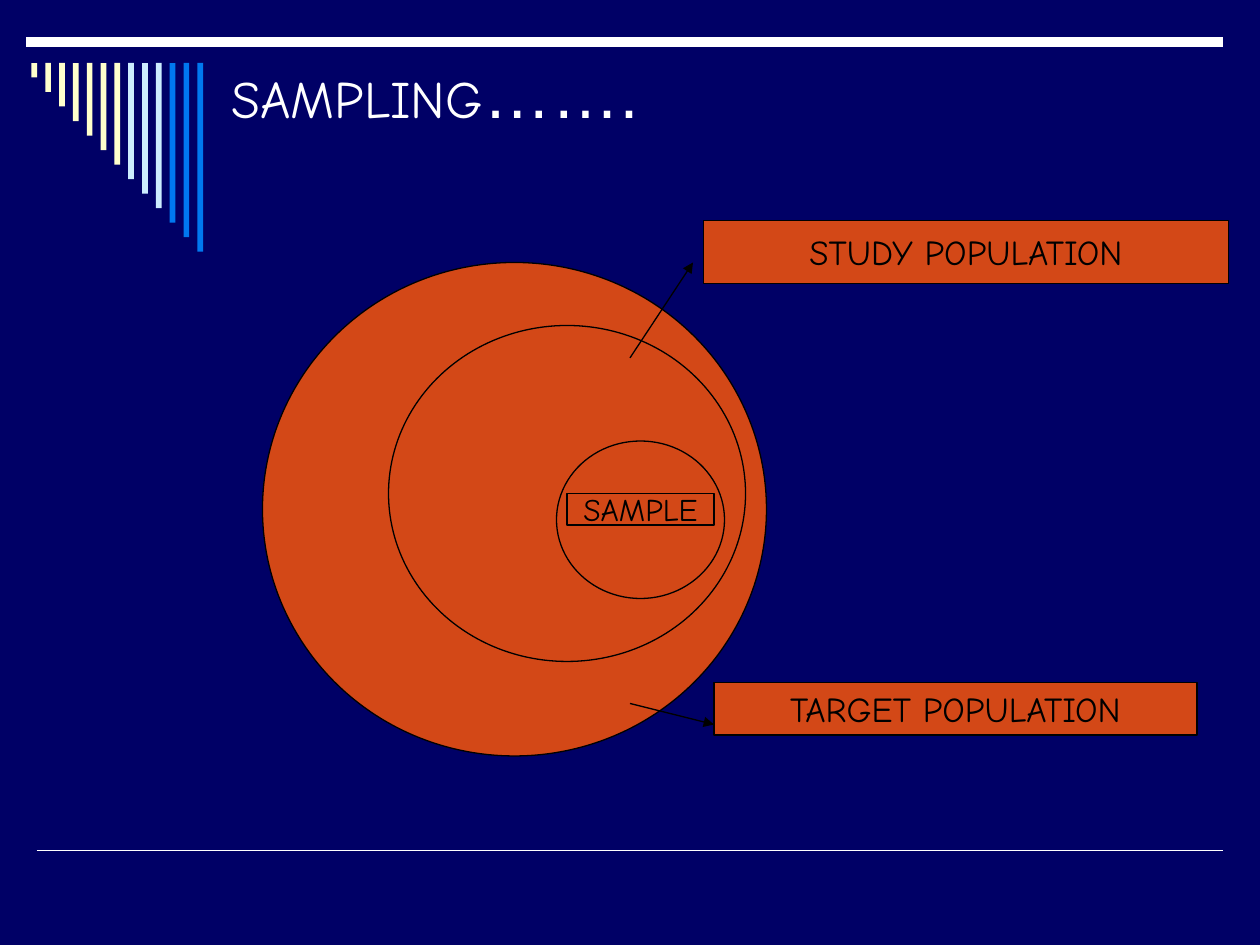
from dataclasses import dataclass

import pptx
import pptx.dml.color
import pptx.enum.shapes
import pptx.enum.text
import pptx.oxml.ns
import pptx.util
from lxml import etree

Pt = pptx.util.Pt
MSO_SHAPE = pptx.enum.shapes.MSO_SHAPE
ANCHOR = pptx.enum.text.MSO_ANCHOR
ALIGN = pptx.enum.text.PP_ALIGN


@dataclass(frozen=True)
class Theme:
    background: str = "000066"
    light: str = "FFFFFF"
    dark: str = "000000"
    orange: str = "D34817"
    cream: str = "FFFFCC"
    pale_blue: str = "CCECFF"
    blue: str = "0078F0"
    font: str = "Comic Neue"
    dots_font: str = "Arial"
    title_size: float = 30
    dots_size: float = 39
    label_size: float = 20
    sample_size: float = 18
    outline: float = 0.75


def rgb(value):
    return pptx.dml.color.RGBColor.from_string(value)


def add_text(paragraph, text, *, size, color, font):
    run = paragraph.add_run()
    run.text = text
    run.font.size = Pt(size)
    run.font.name = font
    run.font.color.rgb = rgb(color)


class SlideBuilder:
    def __init__(self, slide, theme):
        self.slide = slide
        self.theme = theme
        slide.background.fill.solid()
        slide.background.fill.fore_color.rgb = rgb(theme.background)

    def title(self, left, top, width, height, text, dots):
        theme = self.theme
        shape = self.slide.shapes.title
        shape.left, shape.top, shape.width, shape.height = map(Pt, (left, top, width, height))
        frame = shape.text_frame
        frame.auto_size = pptx.enum.text.MSO_AUTO_SIZE.NONE
        frame.word_wrap = True
        frame.vertical_anchor = ANCHOR.BOTTOM
        frame.margin_bottom = Pt(7.2)
        paragraph = frame.paragraphs[0]
        paragraph.alignment = ALIGN.LEFT
        add_text(paragraph, text, size=theme.title_size, color=theme.light, font=theme.font)
        add_text(paragraph, dots, size=theme.dots_size, color=theme.light, font=theme.dots_font)

    def shape(self, kind, left, top, width, height, fill, outlined=True):
        shape = self.slide.shapes.add_shape(kind, *map(Pt, (left, top, width, height)))
        shape.shadow.inherit = False
        shape.fill.solid()
        shape.fill.fore_color.rgb = rgb(fill)
        if outlined:
            shape.line.color.rgb = rgb(self.theme.dark)
            shape.line.width = Pt(self.theme.outline)
        else:
            shape.line.fill.background()
        return shape

    def circle(self, left, top, width, height):
        self.shape(MSO_SHAPE.OVAL, left, top, width, height, self.theme.orange)

    def label(self, left, top, width, height, text, size):
        theme = self.theme
        shape = self.shape(MSO_SHAPE.RECTANGLE, left, top, width, height, theme.orange)
        frame = shape.text_frame
        frame.word_wrap = False
        frame.vertical_anchor = ANCHOR.MIDDLE
        paragraph = frame.paragraphs[0]
        paragraph.alignment = ALIGN.CENTER
        add_text(paragraph, text, size=size, color=theme.dark, font=theme.font)

    def line(self, start, end, color, width, arrow=False):
        connector = self.slide.shapes.add_connector(
            pptx.enum.shapes.MSO_CONNECTOR.STRAIGHT, *map(Pt, (*start, *end)))
        connector.line.color.rgb = rgb(color)
        connector.line.width = Pt(width)
        qn = pptx.oxml.ns.qn
        if arrow:
            etree.SubElement(connector.line._get_or_add_ln(), qn("a:tailEnd"), type="triangle")
        etree.SubElement(connector._element.spPr, qn("a:effectLst"))

    def bars(self, left, top, pitch, width, step, colors):
        for index, color in enumerate(colors):
            self.shape(MSO_SHAPE.RECTANGLE, left + index * pitch, top, width,
                       (index + 1) * step, color, outlined=False)


def main():
    theme = Theme()
    presentation = pptx.Presentation()
    presentation.slide_width = Pt(720)
    presentation.slide_height = Pt(540)
    slide = presentation.slides.add_slide(presentation.slide_layouts.get_by_name("Title Only"))
    builder = SlideBuilder(slide, theme)

    # Frame lines and the staircase of bars
    builder.line((21, 486), (699, 486), theme.light, 1)
    builder.line((15, 24), (699, 24), theme.light, 6)
    bar_colors = [theme.cream] * 7 + [theme.pale_blue] * 3 + [theme.blue] * 3
    builder.bars(18, 36, 7.9, 3.3, 8.3, bar_colors)

    # Title
    builder.title(125, 18, 593, 65, "SAMPLING", "…….")

    # Nested populations
    builder.circle(150, 150, 288, 282)
    builder.circle(222, 186, 204, 192)
    builder.circle(318, 252, 96, 90)

    # Labels
    builder.label(408, 390, 276, 30, "TARGET POPULATION", theme.label_size)
    builder.label(402, 126, 300, 36, "STUDY POPULATION", theme.label_size)
    builder.label(324, 282, 84, 18, "SAMPLE", theme.sample_size)

    # Arrows from the circles to their labels
    builder.line((360, 204.5), (396, 150), theme.dark, theme.outline, arrow=True)
    builder.line((360, 402), (408, 414), theme.dark, theme.outline, arrow=True)

    presentation.save("out.pptx")


if __name__ == "__main__":
    main()
